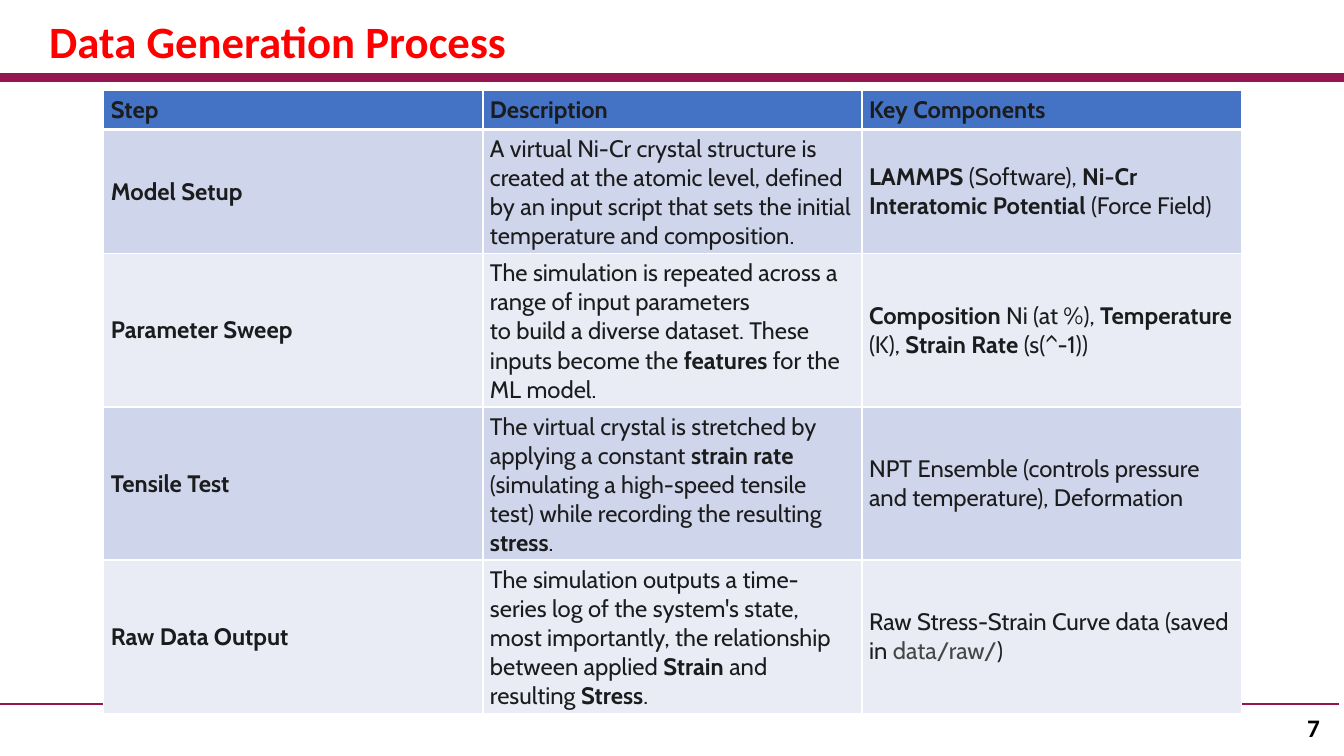
from lxml import etree
from pptx import Presentation
from pptx.dml.color import RGBColor
from pptx.enum.shapes import MSO_CONNECTOR
from pptx.enum.text import MSO_ANCHOR, PP_ALIGN
from pptx.oxml.ns import qn
from pptx.util import Inches, Pt

STRAIGHT = MSO_CONNECTOR.STRAIGHT
MIDDLE, TOP = MSO_ANCHOR.MIDDLE, MSO_ANCHOR.TOP
LEFT, RIGHT = PP_ALIGN.LEFT, PP_ALIGN.RIGHT

MAROON = RGBColor(0x94, 0x16, 0x51)
RED = RGBColor(0xFF, 0x00, 0x00)
BLACK = RGBColor(0x00, 0x00, 0x00)
INK = RGBColor(0x1B, 0x1C, 0x1D)
CODE_GREY = RGBColor(0x44, 0x47, 0x46)
WHITE = RGBColor(0xFF, 0xFF, 0xFF)
HEADER_BLUE = RGBColor(0x44, 0x72, 0xC4)
BANDS = (RGBColor(0xCF, 0xD5, 0xEA), RGBColor(0xE9, 0xEB, 0xF5))

# Content: * switches bold on and off, ` switches the code colour,
# and a line break starts a new paragraph
TITLE = "Data Generation Process"
PAGE = "7"
STEPS = [
    ("*Step*", "*Description*", "*Key Components*"),
    ("*Model Setup*",
     "A virtual Ni-Cr crystal structure is created at the atomic level, defined "
     "by an input script that sets the initial temperature and composition.",
     "*LAMMPS* (Software), *Ni-Cr Interatomic Potential* (Force Field)"),
    ("*Parameter Sweep*",
     "The simulation is repeated across a range of input parameters\n"
     "to build a diverse dataset. These inputs become the *features* for the ML model.",
     "*Composition* Ni (at %), *Temperature* (K), *Strain Rate* (s(^-1))"),
    ("*Tensile Test*",
     "The virtual crystal is stretched by applying a constant *strain rate* "
     "(simulating a high-speed tensile test) while recording the resulting *stress*.",
     "NPT Ensemble (controls pressure and temperature), Deformation"),
    ("*Raw Data Output*",
     "The simulation outputs a time-series log of the system's state, most importantly, "
     "the relationship between applied *Strain* and resulting *Stress*.",
     "Raw Stress-Strain Curve data (saved in `data/raw/`)"),
]

# Layout in inches
SLIDE_W, SLIDE_H = 13.33, 7.5
RULES = [(0.77, SLIDE_W, 6), (6.98, 13.28, 1.5)]  # y, right end, points
TABLE_LEFT, TABLE_TOP, COLUMN_W = 1.03, 0.9, 3.76
ROW_HEIGHTS = (0.38, 1.23, 1.52, 1.23, 1.52)


def style(font, name, size, color, bold):
    font.name, font.size, font.bold = name, Pt(size), bold
    font.color.rgb = color


def add_rule(y, right, width):
    rule = slide.shapes.add_connector(
        STRAIGHT, 0, Inches(y), Inches(right), Inches(y))
    rule.line.color.rgb = MAROON
    rule.line.width = Pt(width)
    etree.SubElement(rule._element.spPr, qn("a:effectLst"))


def add_label(text, box, size, color, align, anchor):
    frame = slide.shapes.add_textbox(*map(Inches, box)).text_frame
    frame.word_wrap = True
    frame.vertical_anchor = anchor
    frame.text = text
    frame.paragraphs[0].alignment = align
    style(frame.paragraphs[0].runs[0].font, "Calibri", size, color, True)


def write_marked(paragraph, marked):
    for i, bold_part in enumerate(marked.split("*")):
        for j, part in enumerate(bold_part.split("`")):
            if part:
                run = paragraph.add_run()
                run.text = part
                style(run.font, "Cabin", 17, CODE_GREY if j % 2 else INK, i % 2 == 1)


def add_borders(cell, bottom_width):
    for side, width in (("L", 1), ("R", 1), ("T", 1), ("B", bottom_width)):
        line = etree.SubElement(cell._tc.get_or_add_tcPr(), qn(f"a:ln{side}"),
                                w=str(Pt(width)))
        fill = etree.SubElement(line, qn("a:solidFill"))
        etree.SubElement(fill, qn("a:srgbClr"), val=str(WHITE))


def fill_cell(cell, marked, is_header, color):
    add_borders(cell, 3 if is_header else 1)
    cell.fill.solid()
    cell.fill.fore_color.rgb = color
    cell.vertical_anchor = MIDDLE
    cell.margin_left = cell.margin_right = Inches(0.07)
    cell.margin_top = cell.margin_bottom = Inches(0.05)
    frame = cell.text_frame
    for n, line in enumerate(marked.split("\n")):
        write_marked(frame.add_paragraph() if n else frame.paragraphs[0], line)


prs = Presentation()
prs.slide_width, prs.slide_height = Inches(SLIDE_W), Inches(SLIDE_H)
slide = prs.slides.add_slide(prs.slide_layouts[6])

# Rules, title and page number
for rule_spec in RULES:
    add_rule(*rule_spec)
add_label(PAGE, (12.51, 7.02, 0.68, 0.4), 18, BLACK, RIGHT, MIDDLE)
add_label(TITLE, (0.39, 0.09, 6.36, 0.64), 32, RED, LEFT, TOP)

# Table of steps
column_count = len(STEPS[0])
steps_table = slide.shapes.add_table(
    len(STEPS), column_count, Inches(TABLE_LEFT), Inches(TABLE_TOP),
    Inches(COLUMN_W * column_count), Inches(sum(ROW_HEIGHTS))).table
for column in steps_table.columns:
    column.width = Inches(COLUMN_W)
for r, (step, height) in enumerate(zip(STEPS, ROW_HEIGHTS)):
    steps_table.rows[r].height = Inches(height)
    row_color = BANDS[(r - 1) % 2] if r else HEADER_BLUE
    for c, marked in enumerate(step):
        fill_cell(steps_table.cell(r, c), marked, r == 0, row_color)

prs.save("out.pptx")
